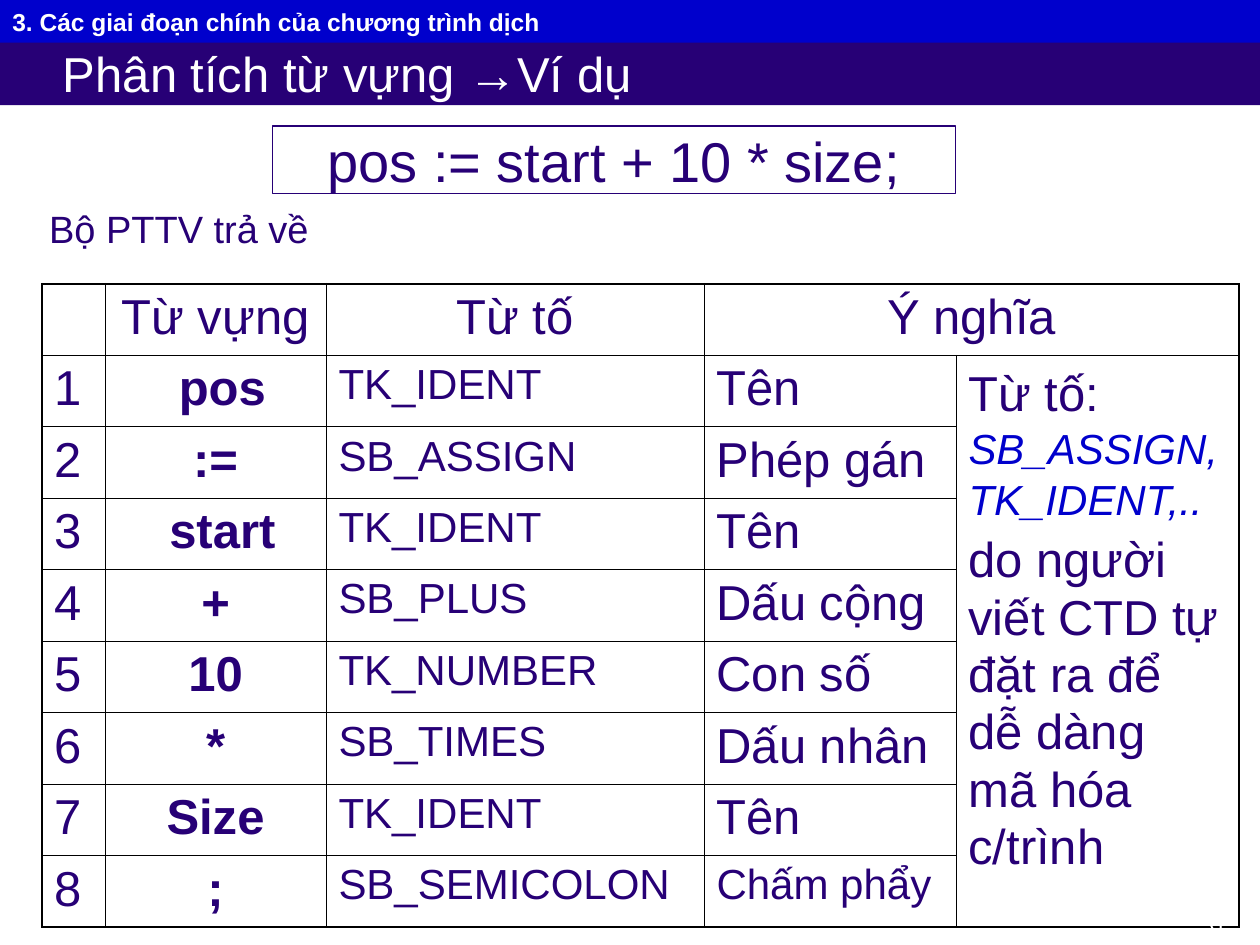
import pptx
import pptx.util
import pptx.dml.color
import pptx.enum.shapes
import pptx.enum.text
import pptx.oxml
import pptx.oxml.ns

Cm = pptx.util.Cm
Pt = pptx.util.Pt
RGBColor = pptx.dml.color.RGBColor
ALIGN = pptx.enum.text.PP_ALIGN
ANCHOR = pptx.enum.text.MSO_ANCHOR

INDIGO = RGBColor(0x27, 0x00, 0x76)
BLUE = RGBColor(0x00, 0x00, 0xCC)
WHITE = RGBColor(0xFF, 0xFF, 0xFF)
BLACK = RGBColor(0x00, 0x00, 0x00)

HEADINGS = ["", "Từ vựng", "Từ tố", "Ý nghĩa"]
TOKENS = [
    (" pos", "TK_IDENT", "Tên"),
    (":=", "SB_ASSIGN", "Phép gán"),
    (" start", "TK_IDENT", "Tên"),
    ("+", "SB_PLUS", "Dấu cộng"),
    ("10", "TK_NUMBER", "Con số"),
    ("*", "SB_TIMES", "Dấu nhân"),
    ("Size", "TK_IDENT", "Tên"),
    (";", "SB_SEMICOLON", "Chấm phẩy"),
]
COLUMN_WIDTHS = [Cm(1.27), Cm(4.45), Cm(7.62), Cm(5.08), Cm(5.71)]


def style_run(run, size, color=INDIGO, bold=False, italic=False, font="Arial"):
    run.font.name = font
    run.font.size = Pt(size)
    run.font.color.rgb = color
    run.font.bold = bold
    run.font.italic = italic


def write(text_frame, text, size, align=ALIGN.LEFT, space_before=0, **style):
    text_frame.text = text
    paragraph = text_frame.paragraphs[0]
    paragraph.alignment = align
    paragraph.space_before = Pt(space_before)
    for run in paragraph.runs:
        style_run(run, size, **style)


def set_insets(text_frame, left, vertical):
    text_frame.word_wrap = True
    text_frame.margin_left = left
    text_frame.margin_right = Cm(0.25)
    text_frame.margin_top = text_frame.margin_bottom = vertical


def add_bar(slide, box, text, size, fill=None, line=None, inset=Cm(0.25), **style):
    shape = slide.shapes.add_shape(pptx.enum.shapes.MSO_SHAPE.RECTANGLE, *box)
    shape.shadow.inherit = False
    if fill is None:
        shape.fill.background()
    else:
        shape.fill.solid()
        shape.fill.fore_color.rgb = fill
    if line is None:
        shape.line.fill.background()
    else:
        shape.line.color.rgb = line
        shape.line.width = Pt(0.75)
    set_insets(shape.text_frame, inset, 0)
    shape.text_frame.vertical_anchor = ANCHOR.MIDDLE
    write(shape.text_frame, text, size, **style)


def add_label(slide, box, text, size, **style):
    text_frame = slide.shapes.add_textbox(*box).text_frame
    set_insets(text_frame, Cm(0.25), Cm(0.13))
    write(text_frame, text, size, **style)


def set_borders(cell, outer_edges, hidden_edges):
    properties = cell._tc.get_or_add_tcPr()
    position = 0
    for edge in "LRTB":
        if edge in hidden_edges:
            continue
        width = Pt(1.08 if edge in outer_edges else 0.45)
        border = pptx.oxml.parse_xml(
            f'<a:ln{edge} {pptx.oxml.ns.nsdecls("a")} w="{int(width)}">'
            f'<a:solidFill><a:srgbClr val="{BLACK}"/></a:solidFill></a:ln{edge}>'
        )
        properties.insert(position, border)
        position += 1


def border_table(table):
    last_row = len(table.rows) - 1
    last_column = len(table.columns) - 1
    for row in range(last_row + 1):
        for column in range(last_column + 1):
            cell = table.cell(row, column)
            right = column + (cell.span_width - 1 if cell.is_merge_origin else 0)
            bottom = row + (cell.span_height - 1 if cell.is_merge_origin else 0)
            edges = {"L": column == 0, "R": right == last_column,
                     "T": row == 0, "B": bottom == last_row}
            outer = [edge for edge in edges if edges[edge]]
            hidden = [edge for edge in edges if cell.is_spanned and not edges[edge]]
            cell.fill.background()
            set_borders(cell, outer, hidden)


def write_note(cell):
    text_frame = cell.text_frame
    first = text_frame.paragraphs[0]
    first.line_spacing = 1.1
    first.space_before = Pt(6)
    for text, size, color, italic in [
        ("Từ tố: ", 28, INDIGO, False),
        ("SB_ASSIGN, TK_IDENT,..", 24, BLUE, True),
    ]:
        run = first.add_run()
        run.text = text
        style_run(run, size, color, italic=italic)
    second = text_frame.add_paragraph()
    second.text = "do người viết CTD tự đặt ra để dễ dàng mã hóa c/trình"
    second.line_spacing = 1.05
    second.space_before = Pt(3.5)
    style_run(second.runs[0], 28)


def add_token_table(slide, left, top, width, height):
    row_count = len(TOKENS) + 1
    table = slide.shapes.add_table(
        row_count, len(COLUMN_WIDTHS), left, top, width, height
    ).table
    table.first_row = False
    table.horz_banding = False
    for column, column_width in zip(table.columns, COLUMN_WIDTHS):
        column.width = column_width
    for row in table.rows:
        row.height = int(height / row_count)
    table.cell(0, 3).merge(table.cell(0, 4))
    table.cell(1, 4).merge(table.cell(row_count - 1, 4))

    for column, heading in enumerate(HEADINGS):
        write(table.cell(0, column).text_frame, heading, 28, ALIGN.CENTER, 7)
    for number, (lexeme, token, meaning) in enumerate(TOKENS, 1):
        meaning_size = 24 if number == len(TOKENS) else 28
        write(table.cell(number, 0).text_frame, str(number), 28, space_before=7)
        write(table.cell(number, 1).text_frame, lexeme, 28, ALIGN.CENTER, 7, bold=True)
        write(table.cell(number, 2).text_frame, token, 24, space_before=6)
        write(table.cell(number, 3).text_frame, meaning, meaning_size, space_before=6)
    write_note(table.cell(1, 4))
    border_table(table)


def main():
    presentation = pptx.Presentation()
    presentation.slide_width = Cm(25.4)
    presentation.slide_height = Cm(19.05)
    slide = presentation.slides.add_slide(presentation.slide_layouts[6])

    add_bar(slide, (0, Cm(0.82), Cm(25.4), Cm(1.3)), "Phân tích từ vựng →Ví dụ", 28,
            fill=INDIGO, inset=Cm(1.27), color=WHITE)
    add_label(slide, (Cm(0.74), Cm(4.02), Cm(14.07), Cm(1.27)), "Bộ PTTV trả về", 21.7)
    add_bar(slide, (0, 0, Cm(25.4), Cm(0.86)),
            "3. Các giai đoạn chính của chương trình dịch", 14,
            fill=BLUE, color=WHITE, bold=True)
    add_bar(slide, (Cm(5.5), Cm(2.54), Cm(13.76), Cm(1.36)), "pos := start + 10 * size;", 32,
            line=INDIGO, align=ALIGN.CENTER)
    add_token_table(slide, Cm(0.85), Cm(5.72), Cm(24.13), Cm(12.94))
    add_label(slide, (Cm(19.69), Cm(18.2), Cm(5.29), Cm(0.62)), "31", 14,
              align=ALIGN.RIGHT, color=WHITE, font="Times New Roman")

    presentation.save("out.pptx")


if __name__ == "__main__":
    main()
